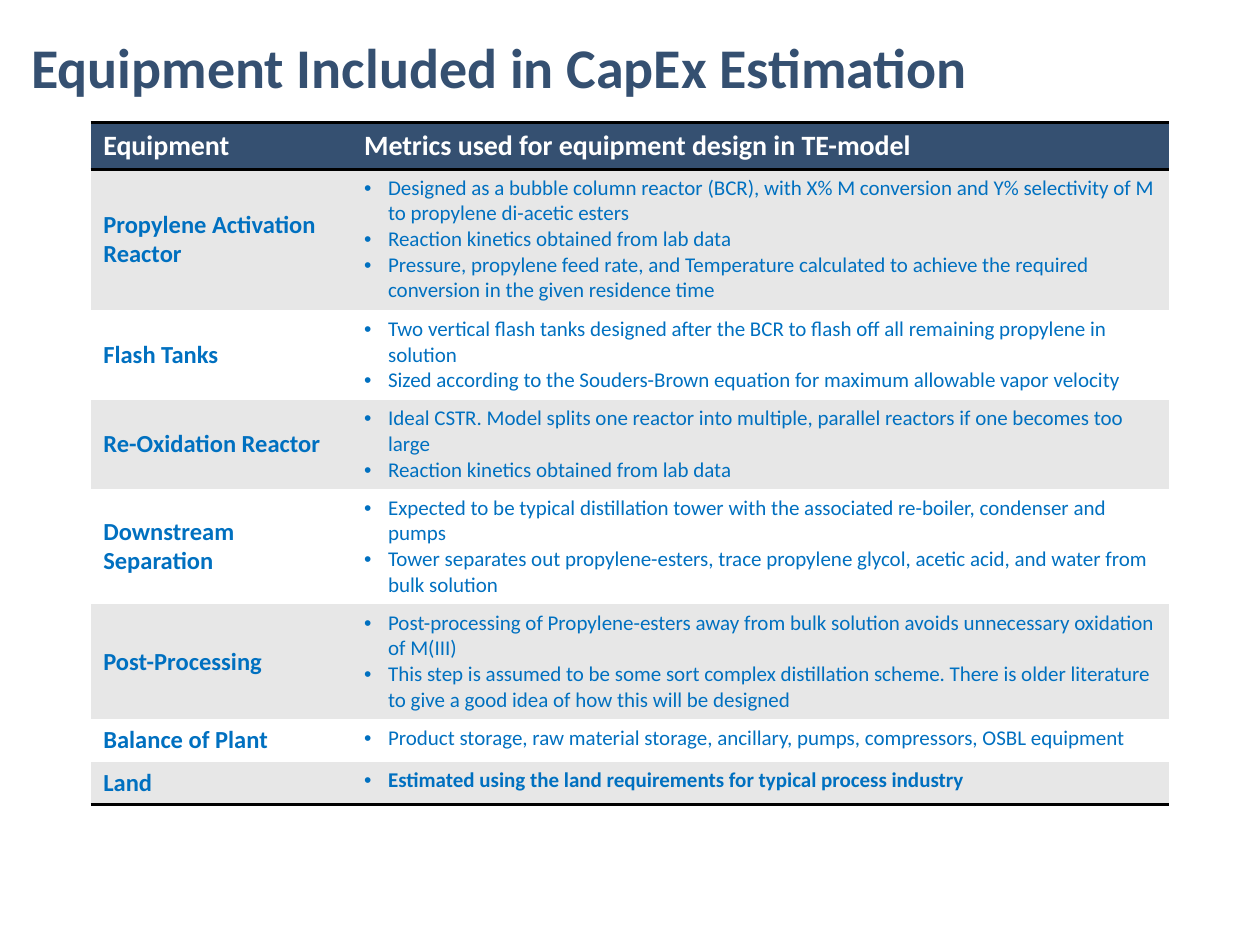
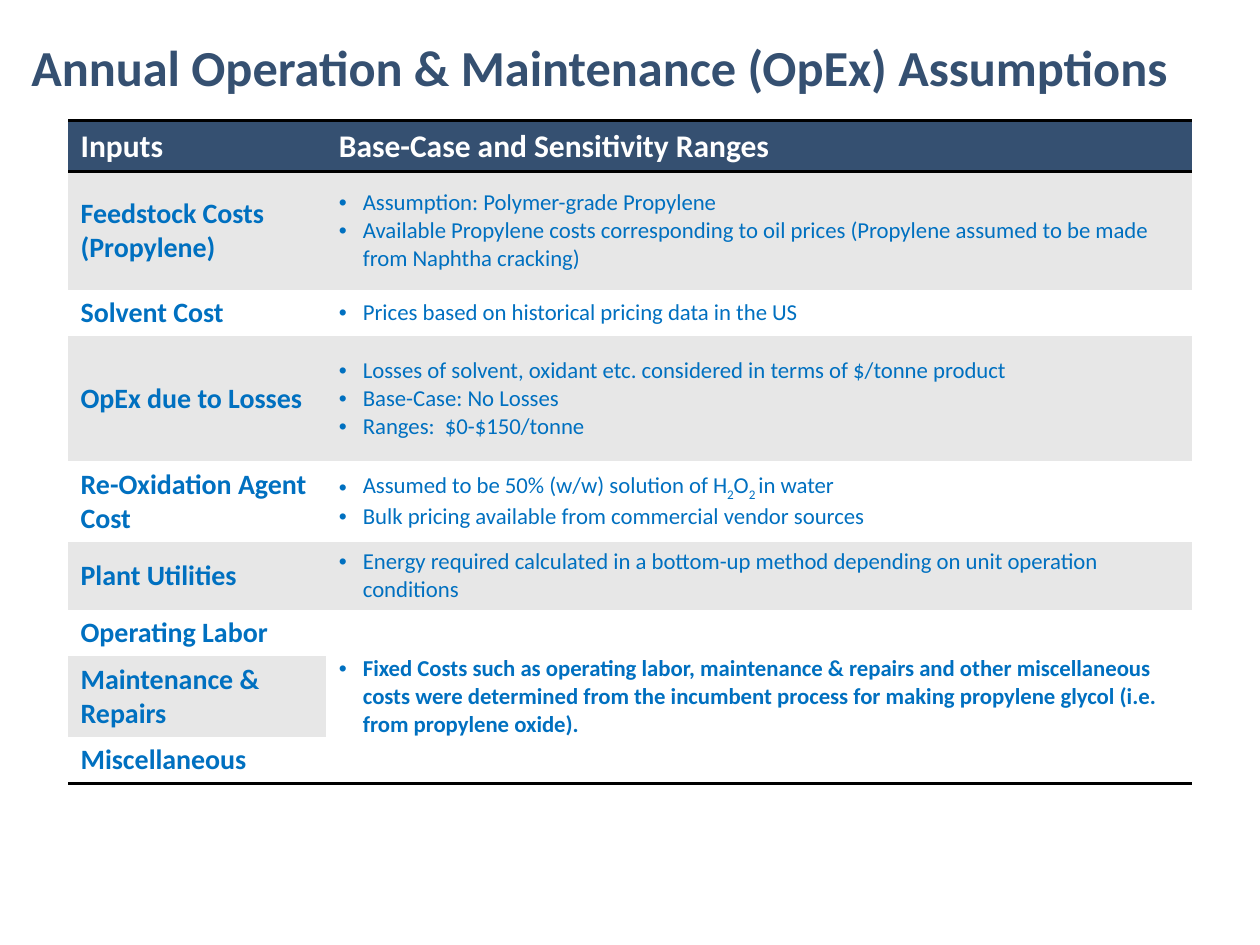
from lxml import etree
from pptx import Presentation
from pptx.dml.color import RGBColor
from pptx.enum.text import MSO_ANCHOR
from pptx.oxml.ns import qn
from pptx.util import Inches, Pt

MIDDLE, TOP = MSO_ANCHOR.MIDDLE, MSO_ANCHOR.TOP

THEME = {
    "font": "Calibri",
    "navy": "355071",
    "blue": "0070C0",
    "white": "FFFFFF",
    "band": "E7E7E7",
    "rule": "000000",
    "rule_width": 2,
    "indent": 0.19,
    "no_grid_style": "{2D5ABB26-0587-4C30-8999-92F81FD0307C}",
}

# Each row holds its height, its label and its bullets; a row with no bullets
# joins the bullet cell above. Text between underscores is subscript.
PAGES = [
    {
        "title": "Equipment Included in CapEx Estimation",
        "sizes": {"title": 32, "header": 16, "label": 14, "body": 12},
        "origin": (0.72, 0.97),
        "columns": (2.07, 6.49),
        "body_anchor": TOP,
        "header": (0.37, "Equipment", ["Metrics used for equipment design in TE-model"]),
        "rows": [
            (1.12, "Propylene Activation Reactor", [
                "Designed as a bubble column reactor (BCR), with X% M conversion and "
                "Y% selectivity of M to propylene di-acetic esters",
                "Reaction kinetics obtained from lab data",
                "Pressure, propylene feed rate, and Temperature calculated to achieve "
                "the required conversion in the given residence time"]),
            (0.71, "Flash Tanks", [
                "Two vertical flash tanks designed after the BCR to flash off all "
                "remaining propylene in solution",
                "Sized according to the Souders-Brown equation for maximum allowable "
                "vapor velocity"]),
            (0.71, "Re-Oxidation Reactor", [
                "Ideal CSTR. Model splits one reactor into multiple, parallel reactors "
                "if one becomes too large",
                "Reaction kinetics obtained from lab data"]),
            (0.91, "Downstream Separation", [
                "Expected to be typical distillation tower with the associated "
                "re-boiler, condenser and pumps",
                "Tower separates out propylene-esters, trace propylene glycol, acetic "
                "acid, and water from bulk solution"]),
            (0.91, "Post-Processing", [
                "Post-processing of Propylene-esters away from bulk solution avoids "
                "unnecessary oxidation of M(III)",
                "This step is assumed to be some sort complex distillation scheme. "
                "There is older literature to give a good idea of how this will be "
                "designed"]),
            (0.33, "Balance of Plant", [
                "Product storage, raw material storage, ancillary, pumps, compressors, "
                "OSBL equipment"]),
            (0.33, "Land", [
                "Estimated using the land requirements for typical process industry"]),
        ],
    },
    {
        "title": "Annual Operation & Maintenance (OpEx) Assumptions",
        "sizes": {"title": 28.8, "header": 18, "label": 16, "body": 13},
        "origin": (0.54, 0.96),
        "columns": (2.05, 6.87),
        "body_anchor": MIDDLE,
        "header": (0.4, "Inputs", ["Base-Case and Sensitivity Ranges"]),
        "rows": [
            (0.94, "Feedstock Costs (Propylene)", [
                "Assumption: Polymer-grade Propylene",
                "Available Propylene costs corresponding to oil prices (Propylene "
                "assumed to be made from Naphtha cracking)"]),
            (0.37, "Solvent Cost", [
                "Prices based on historical pricing data in the US"]),
            (0.99, "OpEx due to Losses", [
                "Losses of solvent, oxidant etc. considered in terms of $/tonne product",
                "Base-Case: No Losses",
                "Ranges:  $0-$150/tonne"]),
            (0.64, "Re-Oxidation Agent Cost", [
                "Assumed to be 50% (w/w) solution of H_2_O_2 _in water",
                "Bulk pricing available from commercial vendor sources"]),
            (0.54, "Plant Utilities", [
                "Energy required calculated in a bottom-up method depending on unit "
                "operation conditions"]),
            (0.37, "Operating Labor", [
                "Fixed Costs such as operating labor, maintenance & repairs and other "
                "miscellaneous costs were determined from the incumbent process for "
                "making propylene glycol (i.e. from propylene oxide)."]),
            (0.64, "Maintenance & Repairs", []),
            (0.37, "Miscellaneous", []),
        ],
    },
]


def write_paragraphs(frame, texts, size, color, bold=True, bullet=False):
    """Fill a text frame, one paragraph per text, with optional bullets."""
    for number, text in enumerate(texts):
        para = frame.paragraphs[0] if number == 0 else frame.add_paragraph()
        if bullet:
            props = para._p.get_or_add_pPr()
            props.set("marL", str(Inches(THEME["indent"])))
            props.set("indent", str(-Inches(THEME["indent"])))
            etree.SubElement(props, qn("a:buFont"), typeface="Arial")
            etree.SubElement(props, qn("a:buChar"), char="•")
        for part, piece in enumerate(text.split("_")):
            span = para.add_run()
            span.text = piece
            looks = {"name": THEME["font"], "size": Pt(size), "bold": bold}
            for name, value in looks.items():
                setattr(span.font, name, value)
            span.font.color.rgb = RGBColor.from_string(color)
            if part % 2:
                span._r.get_or_add_rPr().set("baseline", "-25000")


def style_cell(cell, fill, anchor, edges):
    """Set fill and anchor, and rule the given edges (lnT, lnB)."""
    cell.vertical_anchor = anchor
    for edge in edges:
        line = etree.SubElement(cell._tc.get_or_add_tcPr(), qn(f"a:{edge}"),
                                w=str(Pt(THEME["rule_width"])))
        paint = etree.SubElement(line, qn("a:solidFill"))
        etree.SubElement(paint, qn("a:srgbClr"), val=THEME["rule"])
    cell.fill.solid()
    cell.fill.fore_color.rgb = RGBColor.from_string(fill)


deck = Presentation()
deck.slide_width, deck.slide_height = Inches(10), Inches(7.5)

for content in PAGES:
    page = deck.slides.add_slide(deck.slide_layouts[6])
    sizes = content["sizes"]
    rows = [content["header"], *content["rows"]]
    last = len(rows) - 1
    last_with_bullets = max(i for i, row in enumerate(rows) if row[2])

    left, top = content["origin"]
    table_frame = page.shapes.add_table(
        len(rows), 2, Inches(left), Inches(top),
        Inches(sum(content["columns"])), Inches(sum(row[0] for row in rows)))
    table = table_frame.table
    table.first_row = table.horz_banding = False
    table._tbl.tblPr.find(qn("a:tableStyleId")).text = THEME["no_grid_style"]
    for column, width in zip(table.columns, content["columns"]):
        column.width = Inches(width)

    for index, (height, label, bullets) in enumerate(rows):
        table.rows[index].height = Inches(height)
        label_cell, body_cell = table.cell(index, 0), table.cell(index, 1)
        if index == 0:
            for cell, text in ((label_cell, label), (body_cell, bullets[0])):
                style_cell(cell, THEME["navy"], MIDDLE, ("lnT", "lnB"))
                write_paragraphs(cell.text_frame, [text], sizes["header"], THEME["white"])
            continue
        fill = THEME["band"] if index % 2 else THEME["white"]
        body_fill = fill if bullets else THEME["white"]
        edges = ("lnB",) if index == last else ()
        body_edges = ("lnB",) if index >= last_with_bullets and (bullets or edges) else ()
        style_cell(label_cell, fill, MIDDLE, edges)
        style_cell(body_cell, body_fill, content["body_anchor"], body_edges)
        write_paragraphs(label_cell.text_frame, [label], sizes["label"], THEME["blue"])
        write_paragraphs(body_cell.text_frame, bullets, sizes["body"], THEME["blue"],
                         bold=index == last_with_bullets, bullet=True)
    if last_with_bullets < last:
        table.cell(last_with_bullets, 1).merge(table.cell(last, 1))

    title_box = page.shapes.add_textbox(Inches(0.15), Inches(0.18), Inches(9.75), Inches(0.76))
    title_box.text_frame.word_wrap = True
    title_box.text_frame.vertical_anchor = MIDDLE
    write_paragraphs(title_box.text_frame, [content["title"]], sizes["title"], THEME["navy"])
    title_box.text_frame.paragraphs[0].line_spacing = 0.9

deck.save("out.pptx")
